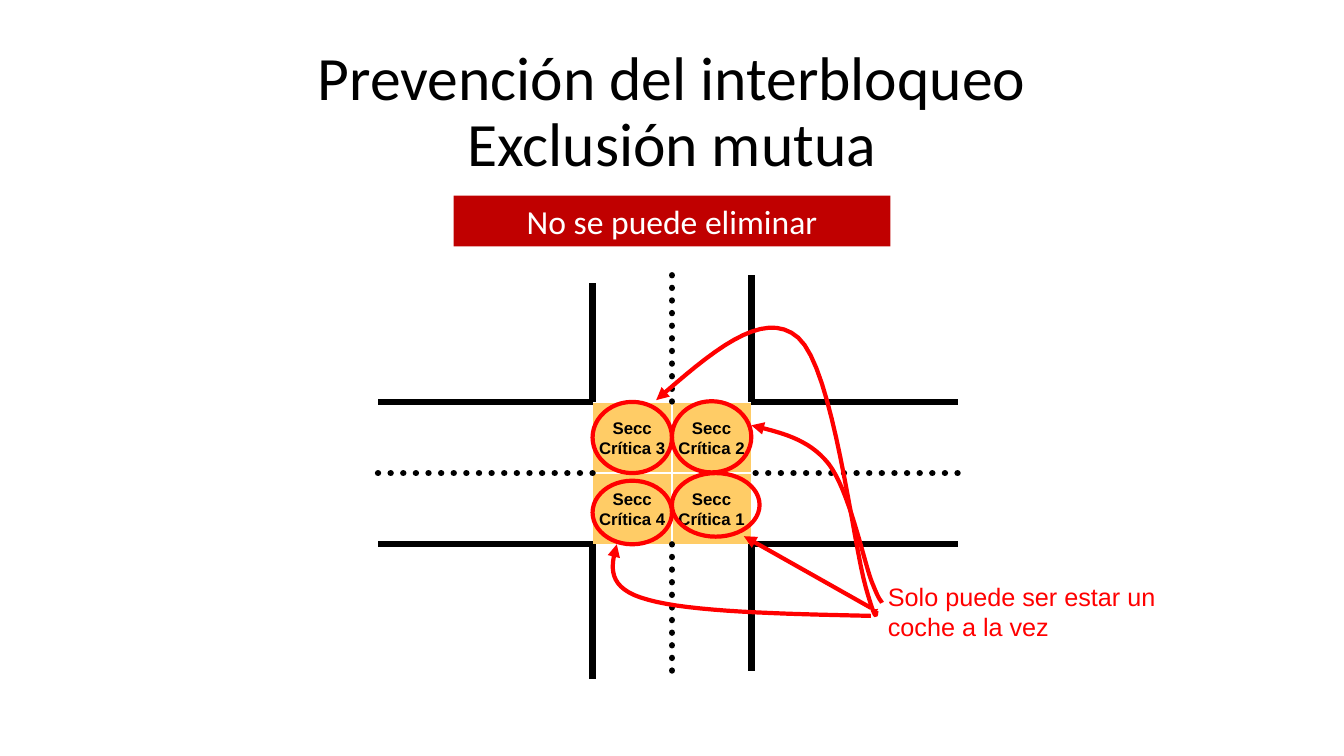
from dataclasses import dataclass

from lxml.etree import SubElement
from pptx import Presentation
from pptx.dml.color import RGBColor
from pptx.enum.dml import MSO_LINE
from pptx.enum.shapes import MSO_CONNECTOR, MSO_SHAPE as Shape
from pptx.enum.text import MSO_ANCHOR as Anchor, MSO_AUTO_SIZE as AutoSize, PP_ALIGN as Align
from pptx.oxml.ns import qn
from pptx.util import Pt

COLOURS = {
    "black": "000000",
    "white": "FFFFFF",
    "red": "FF0000",
    "banner": "C00000",
    "junction": "FFCC66",
}

# Junction grid, in points
WEST, MID_X, EAST = 423.3, 480, 536.7
NORTH, MID_Y, SOUTH = 287.1, 337.95, 388.8
CELL_W, CELL_H = MID_X - WEST, MID_Y - NORTH
ROAD_WEST, ROAD_EAST = 270, 684
CURVE_STEPS = 16

Point = tuple[float, float]


@dataclass
class Section:
    number: int
    column: int
    row: int
    ring: tuple[float, float, float, float]


@dataclass
class Road:
    start: Point
    end: Point
    dotted: bool = False


@dataclass
class Curve:
    start: Point
    segments: list[tuple[Point, Point, Point]]


SECTIONS = [
    Section(1, 1, 1, (MID_X, MID_Y, 62.6, 45.4)),
    Section(3, 0, 0, (WEST, NORTH, CELL_W, CELL_H)),
    Section(2, 1, 0, (MID_X, 286.6, CELL_W, CELL_H)),
    Section(4, 0, 1, (WEST, 343.4, CELL_W, 45.4)),
]

ROADS = [
    Road((WEST, 202.3), (WEST, NORTH)),
    Road((EAST, 196.6), (EAST, NORTH)),
    Road((WEST, SOUTH), (WEST, 485.3)),
    Road((EAST, SOUTH), (EAST, 479.5)),
    Road((MID_X, SOUTH), (MID_X, 479.5), True),
    Road((MID_X, 196.6), (MID_X, NORTH), True),
]
for level in (NORTH, MID_Y, SOUTH):
    ROADS += [
        Road((WEST, level), (ROAD_WEST, level), level == MID_Y),
        Road((ROAD_EAST, level), (EAST, level), level == MID_Y),
    ]

CURVES = [
    # To section 4
    Curve((622.1, 439.9), [
        ((557.3, 438.5), (493.2, 437), (463, 428.4)),
        ((432.7, 420.5), (436.3, 404.6), (440.6, 388.8)),
    ]),
    # To section 2
    Curve((630, 430.6), [
        ((628.6, 427.7), (628.6, 430.6), (622.1, 414)),
        ((616.3, 397.4), (606.2, 349.9), (591.8, 331.2)),
        ((577.4, 313.2), (557.3, 308.9), (536.7, 303.8)),
    ]),
    # To section 3
    Curve((626.4, 436.3), [
        ((625, 434.2), (627.8, 452.2), (618.5, 419.8)),
        ((609.1, 387.4), (595.4, 263.5), (570.2, 241.2)),
        ((545, 218.9), (506.9, 252.7), (468.7, 285.8)),
    ]),
]


def rgb(name: str) -> RGBColor:
    return RGBColor.from_string(COLOURS[name])


def set_font(paragraph, face: str, size: float, colour: str, bold: bool = False) -> None:
    font = paragraph.font
    font.name, font.size, font.bold = face, Pt(size), bold
    font.color.rgb = rgb(colour)


def set_line(drawn, colour: str, width: float, arrow: bool = False) -> None:
    drawn.line.color.rgb = rgb(colour)
    drawn.line.width = Pt(width)
    if arrow:
        SubElement(drawn.line._get_or_add_ln(), qn("a:tailEnd"), type="triangle")


def add_block(slide, kind, box, fill: str | None):
    block = slide.shapes.add_shape(kind, *map(Pt, box))
    block.shadow.inherit = False
    if fill:
        block.fill.solid()
        block.fill.fore_color.rgb = rgb(fill)
    else:
        block.fill.background()
    return block


def add_straight(slide, start: Point, end: Point):
    straight = slide.shapes.add_connector(MSO_CONNECTOR.STRAIGHT, *map(Pt, start + end))
    return straight


def finish_straight(straight) -> None:
    SubElement(straight._element.spPr, qn("a:effectLst"))


def add_section(slide, section: Section) -> None:
    box = (WEST + section.column * CELL_W, NORTH + section.row * CELL_H, CELL_W, CELL_H)
    cell = add_block(slide, Shape.RECTANGLE, box, "junction")
    set_line(cell, "white", 1)
    frame = cell.text_frame
    frame.word_wrap = False
    frame.vertical_anchor = Anchor.MIDDLE
    frame.text = f"Secc\nCrítica {section.number}"
    for paragraph in frame.paragraphs:
        paragraph.alignment = Align.CENTER
        set_font(paragraph, "Arial", 12, "black", bold=True)


def add_road(slide, road: Road) -> None:
    edge = add_straight(slide, road.start, road.end)
    set_line(edge, "black", 4.5)
    if road.dotted:
        edge.line.dash_style = MSO_LINE.ROUND_DOT
        edge.line._get_or_add_ln().set("cap", "rnd")
    finish_straight(edge)


def bezier(a: Point, b: Point, c: Point, d: Point, t: float) -> Point:
    u = 1 - t
    x, y = (u**3 * p + 3 * u * u * t * q + 3 * u * t * t * r + t**3 * s
            for p, q, r, s in zip(a, b, c, d))
    return x, y


def add_curve(slide, curve: Curve) -> None:
    builder = slide.shapes.build_freeform(*map(Pt, curve.start))
    origin = curve.start
    for segment in curve.segments:
        points = [bezier(origin, *segment, step / CURVE_STEPS) for step in range(1, CURVE_STEPS + 1)]
        builder.add_line_segments([(Pt(x), Pt(y)) for x, y in points], close=False)
        origin = segment[-1]
    path = builder.convert_to_shape()
    path.shadow.inherit = False
    path.fill.background()
    set_line(path, "red", 3, arrow=True)


def main() -> None:
    deck = Presentation()
    deck.slide_width, deck.slide_height = Pt(960), Pt(540)
    slide = deck.slides.add_slide(deck.slide_layouts[5])

    # Title
    title = slide.shapes.title
    title.left, title.top, title.width, title.height = map(Pt, (66, 28.8, 828, 104.4))
    heading = title.text_frame
    heading.text = "Prevención del interbloqueo\vExclusión mutua"
    heading.auto_size = AutoSize.NONE
    heading.vertical_anchor = Anchor.MIDDLE
    heading.paragraphs[0].alignment = Align.CENTER
    heading.paragraphs[0].line_spacing = 0.9
    set_font(heading.paragraphs[0], "Calibri", 44, "black")

    # Crossroads
    for section in SECTIONS:
        add_section(slide, section)
    for road in ROADS:
        add_road(slide, road)
    for section in SECTIONS:
        ring = add_block(slide, Shape.OVAL, section.ring, None)
        set_line(ring, "red", 3)

    # Remark and its arrows
    remark = slide.shapes.add_textbox(*map(Pt, (627.1, 411.8, 215.3, 50.4))).text_frame
    remark.word_wrap = True
    remark.text = "Solo puede ser estar un coche a la vez"
    set_font(remark.paragraphs[0], "Arial", 18, "red")
    pointer = add_straight(slide, (622.1, 434.2), (531.4, 383))
    set_line(pointer, "red", 3, arrow=True)
    finish_straight(pointer)
    for curve in CURVES:
        add_curve(slide, curve)

    # Banner
    banner = add_block(slide, Shape.RECTANGLE, (324, 139.7, 312, 36.3), "banner")
    banner.line.fill.background()
    verdict = banner.text_frame
    verdict.word_wrap = True
    verdict.text = "No se puede eliminar"
    verdict.paragraphs[0].alignment = Align.CENTER
    set_font(verdict.paragraphs[0], "Calibri", 24, "white")

    deck.save("out.pptx")


if __name__ == "__main__":
    main()
